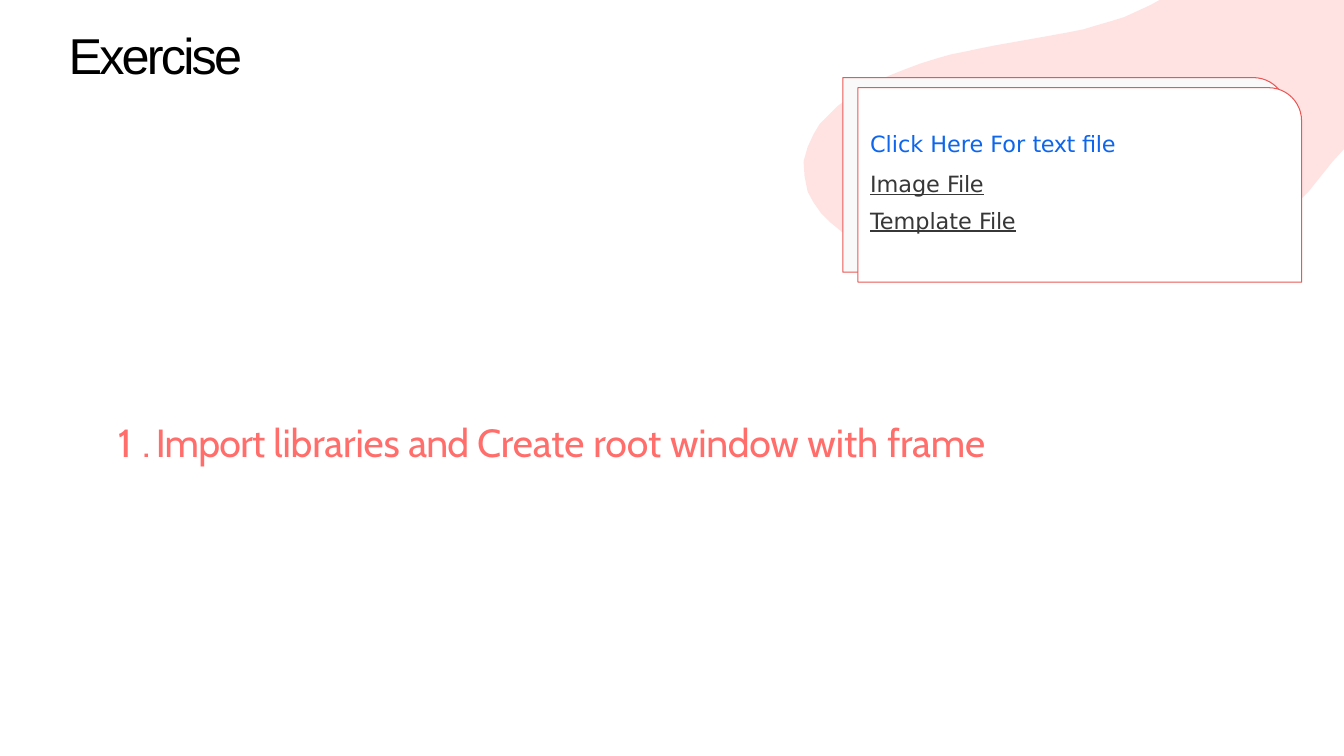
from pptx import Presentation
from pptx.dml.color import RGBColor
from pptx.enum.shapes import MSO_SHAPE
from pptx.enum.text import MSO_ANCHOR, MSO_AUTO_SIZE, PP_ALIGN
from pptx.util import Inches, Pt

CARD_SHAPE = MSO_SHAPE.ROUND_1_RECTANGLE
TOP, MIDDLE = MSO_ANCHOR.TOP, MSO_ANCHOR.MIDDLE
GROW = MSO_AUTO_SIZE.SHAPE_TO_FIT_TEXT
LEFT = PP_ALIGN.LEFT
TITLE_ONLY = 5

BLACK, CORAL, BLUE, GRAY = "000000", "FF6E6B", "0D66EB", "373737"
BLUSH, CARD_LINE, OFF_WHITE, WHITE = "FFE3E3", "E95855", "F9F9F9", "FFFFFF"

BLOB_OUTLINE = [
    (2.44, 2.69), (2.21, 2.69), (1.97, 2.68), (1.74, 2.66), (1.51, 2.63),
    (1.28, 2.6), (1.06, 2.55), (0.86, 2.5), (0.66, 2.44), (0.52, 2.38),
    (0.38, 2.3), (0.27, 2.21), (0.17, 2.11), (0.1, 2.01), (0.04, 1.9),
    (0.01, 1.75), (0, 1.6), (0.04, 1.46), (0.1, 1.33), (0.16, 1.23),
    (0.25, 1.14), (0.34, 1.05), (0.45, 0.97), (0.57, 0.89), (0.7, 0.82),
    (0.85, 0.75), (1, 0.69), (1.16, 0.63), (1.32, 0.58), (1.46, 0.54),
    (1.61, 0.51), (1.75, 0.48), (1.9, 0.45), (2.41, 0.36), (2.63, 0.32),
    (2.78, 0.29), (2.91, 0.25), (3.05, 0.21), (3.18, 0.17), (3.31, 0.11),
    (3.44, 0.05), (3.53, 0), (5.36, 0), (5.36, 1.48), (5.25, 1.6),
    (5.17, 1.7), (5.09, 1.8), (5.01, 1.9), (4.91, 2), (4.81, 2.09),
    (4.7, 2.18), (4.57, 2.26), (4.42, 2.34), (4.3, 2.4), (4.17, 2.45),
    (4.04, 2.49), (3.9, 2.53), (3.75, 2.57), (3.6, 2.6), (3.45, 2.62),
    (3.3, 2.64), (3.08, 2.67), (2.82, 2.68), (2.68, 2.69),
]


def color(value):
    return RGBColor.from_string(value)


def place(shape, box):
    shape.left, shape.top, shape.width, shape.height = map(Inches, box)


def prepare_frame(shape, anchor=TOP):
    frame = shape.text_frame
    frame.word_wrap = True
    frame.auto_size = GROW
    frame.vertical_anchor = anchor
    frame.margin_left = Inches(0.01)
    frame.margin_top = Inches(0.02)
    frame.margin_right = frame.margin_bottom = 0
    return frame


def format_paragraph(para, font_name, size, hue, space_before=1):
    para.alignment = LEFT
    para.space_before = Pt(space_before)
    para.font.name = font_name
    para.font.size = Pt(size)
    para.font.color.rgb = color(hue)


def add_spans(para, spans):
    for text, spacing in spans:
        span = para.add_run()
        span.text = text
        span.font._element.set("spc", str(round(spacing * 100)))


def add_title(page, box):
    title = page.shapes.title
    place(title, box)
    para = prepare_frame(title, MIDDLE).paragraphs[0]
    format_paragraph(para, "Arial", 36, BLACK)
    add_spans(para, [("Exercise", -2)])


def add_step(page, box):
    shape = page.shapes.add_textbox(*map(Inches, box))
    para = prepare_frame(shape).paragraphs[0]
    format_paragraph(para, "Cabin", 28, CORAL)
    add_spans(para, [
        ("1 ", 0.6), (". ", -2.3), ("Import ", -0.5), ("libraries ", -0.1),
        ("and ", -0.6), ("Create root ", 0), ("window ", -0.2),
        ("with ", 0), ("frame", -0.1),
    ])


def add_blob(page, left, top):
    points = [(Inches(left + x), Inches(top + y)) for x, y in BLOB_OUTLINE]
    builder = page.shapes.build_freeform(*points[0])
    builder.add_line_segments(points[1:], close=True)
    blob = builder.convert_to_shape()
    blob.shadow.inherit = False
    blob.fill.solid()
    blob.fill.fore_color.rgb = color(BLUSH)
    blob.line.fill.background()


def add_card(page, box, fill):
    card = page.shapes.add_shape(CARD_SHAPE, *map(Inches, box))
    card.adjustments[0] = 0.17
    card.shadow.inherit = False
    card.fill.solid()
    card.fill.fore_color.rgb = color(fill)
    card.line.color.rgb = color(CARD_LINE)
    card.line.width = Pt(0.75)


def add_file_links(page, box):
    left, top, width, height = box
    add_card(page, box, OFF_WHITE)
    add_card(page, (left + 0.15, top + 0.1, width, height), WHITE)
    shape = page.shapes.add_textbox(
        *map(Inches, (left + 0.26, top + 0.37, 2.46, 1.2)))
    frame = prepare_frame(shape)

    first = frame.paragraphs[0]
    format_paragraph(first, "DejaVu Sans", 16, GRAY)
    first.line_spacing = 1.5
    add_spans(first, [("Click Here For ", 0), ("text ", -0.3), ("ﬁle ", -0.2),
                      ("Image", 0), (" ", -1.1), ("File", -0.2)])
    for span in first.runs[:3]:
        span.font.color.rgb = color(BLUE)
    for span in first.runs[3:]:
        span.font.underline = True

    second = frame.add_paragraph()
    format_paragraph(second, "DejaVu Sans", 16, GRAY, 7.2)
    add_spans(second, [("Template", 0), (" ", -0.8), ("File", -0.2)])
    for span in second.runs:
        span.font.underline = True


def main():
    deck = Presentation()
    deck.slide_width, deck.slide_height = Inches(13.33), Inches(7.5)
    page = deck.slides.add_slide(deck.slide_layouts[TITLE_ONLY])
    add_title(page, (0.67, 0.22, 12, 0.62))
    add_step(page, (1.16, 4.13, 9.04, 0.96))
    add_blob(page, 7.97, 0)
    add_file_links(page, (8.36, 0.77, 4.4, 1.93))
    deck.save("out.pptx")


if __name__ == "__main__":
    main()
